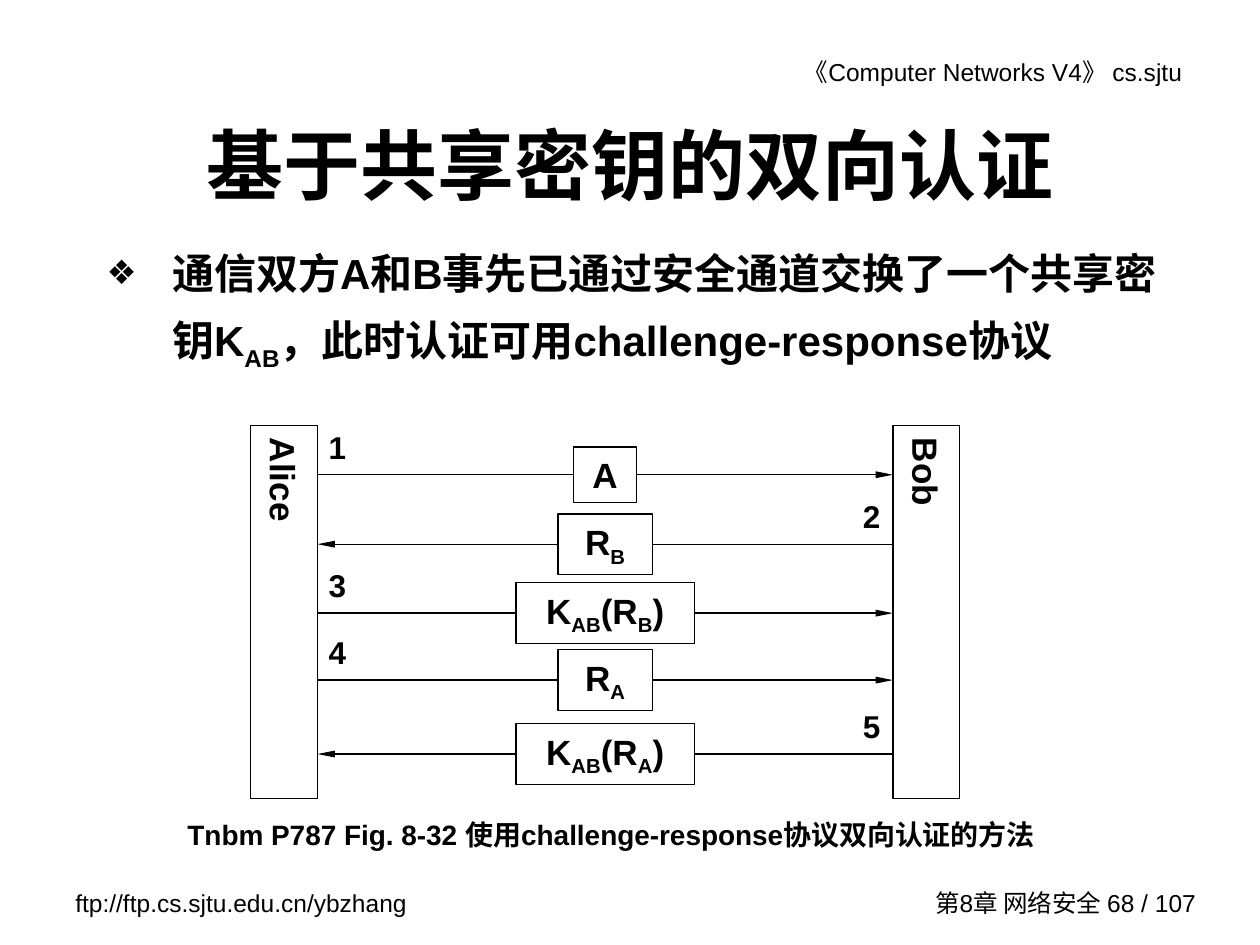
from lxml import etree
from pptx import Presentation
from pptx.dml.color import RGBColor
from pptx.enum.shapes import MSO_CONNECTOR, MSO_SHAPE
from pptx.enum.text import MSO_ANCHOR, MSO_AUTO_SIZE, PP_ALIGN
from pptx.oxml.ns import qn
from pptx.util import Cm, Pt

LEFT, CENTER, RIGHT = PP_ALIGN.LEFT, PP_ALIGN.CENTER, PP_ALIGN.RIGHT
TOP, MIDDLE = MSO_ANCHOR.TOP, MSO_ANCHOR.MIDDLE
RECT, STRAIGHT = MSO_SHAPE.RECTANGLE, MSO_CONNECTOR.STRAIGHT
NO_FIT = MSO_AUTO_SIZE.NONE

INK = "000000"
FONT = "Arial"

# Edges of the two party columns and the middle of the messages, in cm
ALICE, BOB, PARTY_W = 5.05, 18, 1.35
PARTY_Y, PARTY_H = 8.58, 7.52
MID = 12.2

# Line height, box width, box height, label, whether Alice sends
MESSAGES = [
    (9.57, 1.27, 1.12, "A", True),
    (10.97, 1.9, 1.22, "R_B_", False),
    (12.36, 3.6, 1.22, "K_AB_(R_B_)", True),
    (13.71, 1.9, 1.22, "R_A_", True),
    (15.2, 3.6, 1.22, "K_AB_(R_A_)", False),
]


def color(code):
    return RGBColor.from_string(code)


def write(shape, text, size=20, bold=True, align=CENTER, anchor=MIDDLE,
          inset=(0.25, 0.13)):
    """Fill a shape with one paragraph; parts between underscores are subscripts."""
    frame = shape.text_frame
    frame.word_wrap = True
    frame.auto_size = NO_FIT
    frame.vertical_anchor = anchor
    frame.margin_left = frame.margin_right = Cm(inset[0])
    frame.margin_top = frame.margin_bottom = Cm(inset[1])
    para = frame.paragraphs[0]
    para.alignment = align
    for index, part in enumerate(text.split("_")):
        if not part:
            continue
        run = para.add_run()
        run.text = part
        font = run.font
        font.name, font.size, font.bold = FONT, Pt(size), bold
        font.color.rgb = color(INK)
        if index % 2:
            run._r.get_or_add_rPr().set("baseline", "-25000")
    return para


def place(shape, x, y, w, h):
    shape.left, shape.top, shape.width, shape.height = Cm(x), Cm(y), Cm(w), Cm(h)
    return shape


def label(slide, x, y, w, h, text, **form):
    box = slide.shapes.add_textbox(Cm(x), Cm(y), Cm(w), Cm(h))
    write(box, text, **form)


def frame_box(slide, x, y, w, h, text, **form):
    box = slide.shapes.add_shape(RECT, Cm(x), Cm(y), Cm(w), Cm(h))
    box.shadow.inherit = False
    box.fill.background()
    box.line.color.rgb = color(INK)
    box.line.width = Pt(0.75)
    write(box, text, **form)
    return box


def party(slide, x, name):
    box = frame_box(slide, x, PARTY_Y, PARTY_W, PARTY_H, name, inset=(0.13, 0.25))
    box.text_frame._txBody.bodyPr.set("vert", "eaVert")


def line(slide, x1, x2, y, arrow=False):
    link = slide.shapes.add_connector(STRAIGHT, Cm(x1), Cm(y), Cm(x2), Cm(y))
    link.line.color.rgb = color(INK)
    link.line.width = Pt(0.75)
    if arrow:
        etree.SubElement(link.line._get_or_add_ln(), qn("a:tailEnd"),
                         type="triangle", w="sm", len="lg")
    etree.SubElement(link._element.spPr, qn("a:effectLst"))
    return link


def message(slide, step, y, w, h, text, sent):
    """Draw a numbered message box with its line from sender to receiver."""
    box = frame_box(slide, MID - w / 2, y - h / 2, w, h, text)
    ends = [ALICE + PARTY_W, BOB]
    edges = [MID - w / 2, MID + w / 2]
    sides = [1, 3]
    if not sent:
        for pair in (ends, edges, sides):
            pair.reverse()
    line(slide, ends[0], edges[0], y).end_connect(box, sides[0])
    line(slide, edges[1], ends[1], y, arrow=True).begin_connect(box, sides[1])
    x = ends[0] if sent else ends[0] - 0.83
    label(slide, x, y - 1.05, 0.8, 1, str(step), size=18, anchor=TOP,
          inset=(0.05, 0.1))


def bullet(para):
    props = para._p.get_or_add_pPr()
    props.set("marL", str(Cm(1.32)))
    props.set("indent", str(Cm(-1.32)))
    tint = etree.SubElement(props, qn("a:buClr"))
    etree.SubElement(tint, qn("a:srgbClr"), val=INK)
    etree.SubElement(props, qn("a:buSzPct"), val="80000")
    etree.SubElement(props, qn("a:buFont"), typeface=FONT)
    etree.SubElement(props, qn("a:buChar"), char="❖")
    para.line_spacing = 1.3
    para.space_before = Pt(0)


def main():
    deck = Presentation()
    deck.slide_width, deck.slide_height = Cm(25.4), Cm(19.05)
    slide = deck.slides.add_slide(deck.slide_layouts[1])

    plain = {"size": 14, "bold": False}
    label(slide, 13.26, 1.02, 10.82, 0.86, "《Computer Networks V4》 cs.sjtu",
          align=RIGHT, anchor=TOP, **plain)
    label(slide, 1.27, 17.78, 7.42, 0.86, "ftp://ftp.cs.sjtu.edu.cn/ybzhang",
          align=LEFT, anchor=TOP, **plain)
    label(slide, 18.24, 17.78, 6.12, 0.84, "第8章 网络安全 68 / 107",
          align=RIGHT, **plain)

    title = place(slide.shapes.title, 1.9, 1.7, 21.6, 3.18)
    write(title, "基于共享密钥的双向认证", size=44)
    body = place(slide.placeholders[1], 1.9, 4.55, 22.07, 3.48)
    bullet(write(body, "通信双方A和B事先已通过安全通道交换了一个共享密钥K_AB_"
                 "，此时认证可用challenge-response协议",
                 size=24, align=LEFT, anchor=TOP))

    party(slide, ALICE, "Alice")
    party(slide, BOB, "Bob")
    for step, row in enumerate(MESSAGES, 1):
        message(slide, step, *row)
    label(slide, 3.53, 16.36, 18.24, 1.02,
          "Tnbm P787 Fig. 8-32 使用challenge-response协议双向认证的方法",
          size=16, align=LEFT, anchor=TOP)
    deck.save("out.pptx")


if __name__ == "__main__":
    main()
